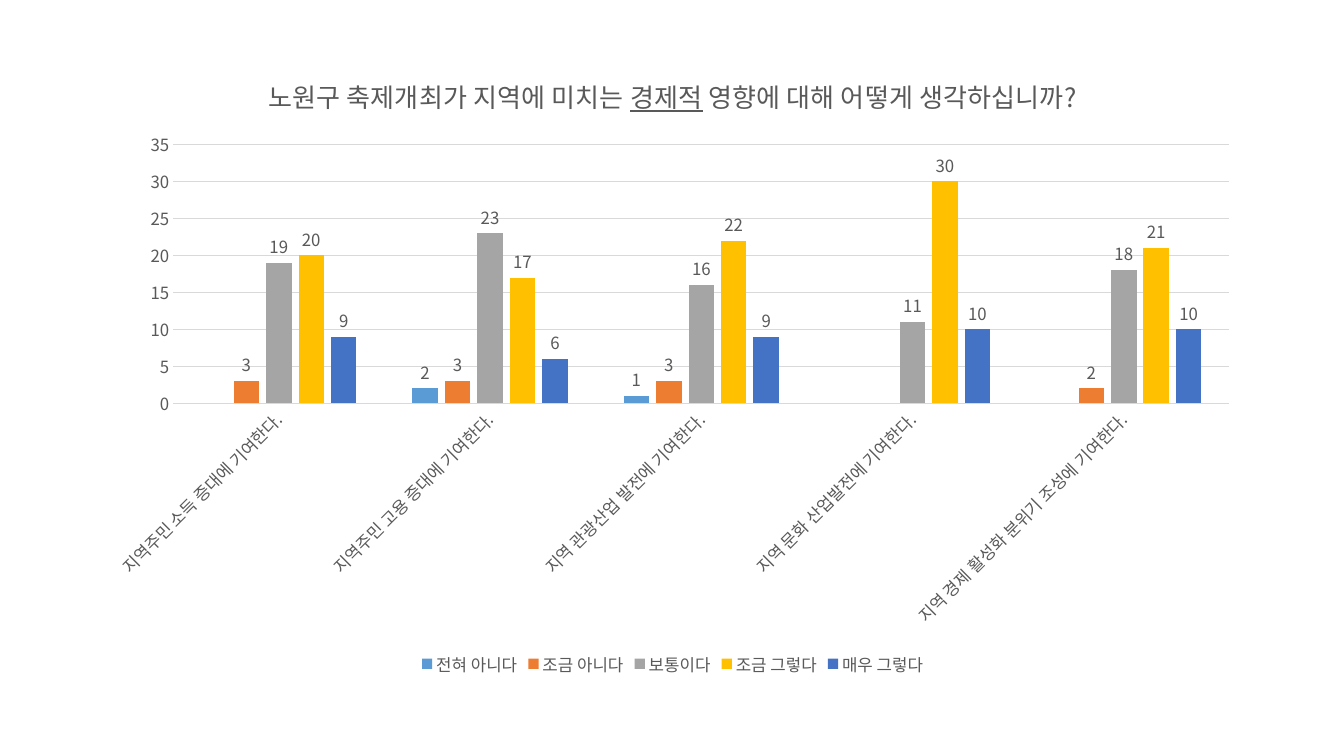
from dataclasses import dataclass

from pptx import Presentation
from pptx import util as u
from pptx.chart.data import CategoryChartData
from pptx.dml.color import RGBColor
from pptx.enum import chart as charts
from pptx.oxml import parse_xml
from pptx.oxml.ns import nsdecls, qn


@dataclass(frozen=True)
class Theme:
    """Colours, font and type sizes of the slide."""
    font: str = "Noto Sans CJK KR"
    ink: str = "595959"
    rule: str = "D9D9D9"
    title_size: float = 18.6
    body_size: float = 12
    rule_width: float = 0.75


THEME = Theme()
WIDTH, HEIGHT = u.Inches(13.33), u.Inches(7.5)
TITLE = (("노원구 축제개최가 지역에 미치는 ", False), ("경제적", True),
         (" 영향에 대해 어떻게 생각하십니까?", False))
STATEMENTS = (
    "지역주민 소득 증대에 기여한다.",
    "지역주민 고용 증대에 기여한다.",
    "지역 관광산업 발전에 기여한다.",
    "지역 문화 산업발전에 기여한다.",
    "지역 경제 활성화 분위기 조성에 기여한다.",
)
ANSWERS = (
    ("전혀 아니다", "5B9BD5", (None, 2, 1, None, None)),
    ("조금 아니다", "ED7D31", (3, 3, 3, None, 2)),
    ("보통이다", "A5A5A5", (19, 23, 16, 11, 18)),
    ("조금 그렇다", "FFC000", (20, 17, 22, 30, 21)),
    ("매우 그렇다", "4472C4", (9, 6, 9, 10, 10)),
)


def style_font(font, size=THEME.body_size):
    """Apply the theme's typeface and ink to a font."""
    font.name = THEME.font
    font.size = u.Pt(size)
    font.bold = False
    font.color.rgb = RGBColor.from_string(THEME.ink)


def style_rule(line):
    """Draw a line as a thin pale rule."""
    line.color.rgb = RGBColor.from_string(THEME.rule)
    line.width = u.Pt(THEME.rule_width)


def add_survey_chart(slide):
    """Add the clustered columns and return the chart."""
    data = CategoryChartData()
    data.categories = STATEMENTS
    for name, _, counts in ANSWERS:
        data.add_series(name, counts)
    frame = slide.shapes.add_chart(
        charts.XL_CHART_TYPE.COLUMN_CLUSTERED,
        int(WIDTH * 0.069), int(HEIGHT * 0.071),
        int(WIDTH * 0.863), int(HEIGHT * 0.829), data)
    frame.chart.font.name = THEME.font
    return frame.chart


def set_title(chart):
    """Write the question above the columns."""
    chart.has_title = True
    paragraph = chart.chart_title.text_frame.paragraphs[0]
    for wording, underlined in TITLE:
        run = paragraph.add_run()
        run.text = wording
        style_font(run.font, THEME.title_size)
        run.font.underline = underlined
    chart.chart_title.include_in_layout = False


def style_columns(chart):
    """Colour and label the columns of each answer."""
    plot = chart.plots[0]
    plot.gap_width, plot.overlap = 219, -27
    plot.vary_by_categories = False
    for series, (_, color, _) in zip(plot.series, ANSWERS):
        series.format.fill.solid()
        series.format.fill.fore_color.rgb = RGBColor.from_string(color)
        series.invert_if_negative = False
        labels = series.data_labels
        labels.show_value = True
        labels.position = charts.XL_LABEL_POSITION.OUTSIDE_END
        style_font(labels.font)


def style_axes(chart):
    """Set the scale, rules and slanted statements."""
    for axis in (chart.category_axis, chart.value_axis):
        axis.major_tick_mark = charts.XL_TICK_MARK.NONE
        axis.minor_tick_mark = charts.XL_TICK_MARK.NONE
        style_font(axis.tick_labels.font)
    style_rule(chart.category_axis.format.line)
    values = chart.value_axis
    values.minimum_scale, values.maximum_scale, values.major_unit = 0, 35, 5
    values.format.line.fill.background()
    style_rule(values.major_gridlines.format.line)
    for body in chart.element.xpath(".//c:catAx/c:txPr/a:bodyPr"):
        body.set("rot", "-2700000")


def set_legend(chart):
    """Place the answers under the chart."""
    chart.has_legend = True
    chart.legend.position = charts.XL_LEGEND_POSITION.BOTTOM
    chart.legend.include_in_layout = False
    style_font(chart.legend.font)


def apply_korean_font(chart):
    """Use the theme's typeface for Korean text as well."""
    for latin in list(chart.element.iter(qn("a:latin"))):
        latin.addnext(parse_xml(f'<a:ea {nsdecls("a")} typeface="{THEME.font}"/>'))


def main():
    """Build and save the slide."""
    presentation = Presentation()
    presentation.slide_width, presentation.slide_height = WIDTH, HEIGHT
    slide = presentation.slides.add_slide(presentation.slide_layouts[6])
    chart = add_survey_chart(slide)
    set_title(chart)
    style_columns(chart)
    style_axes(chart)
    set_legend(chart)
    apply_korean_font(chart)
    presentation.save("out.pptx")


if __name__ == "__main__":
    main()
